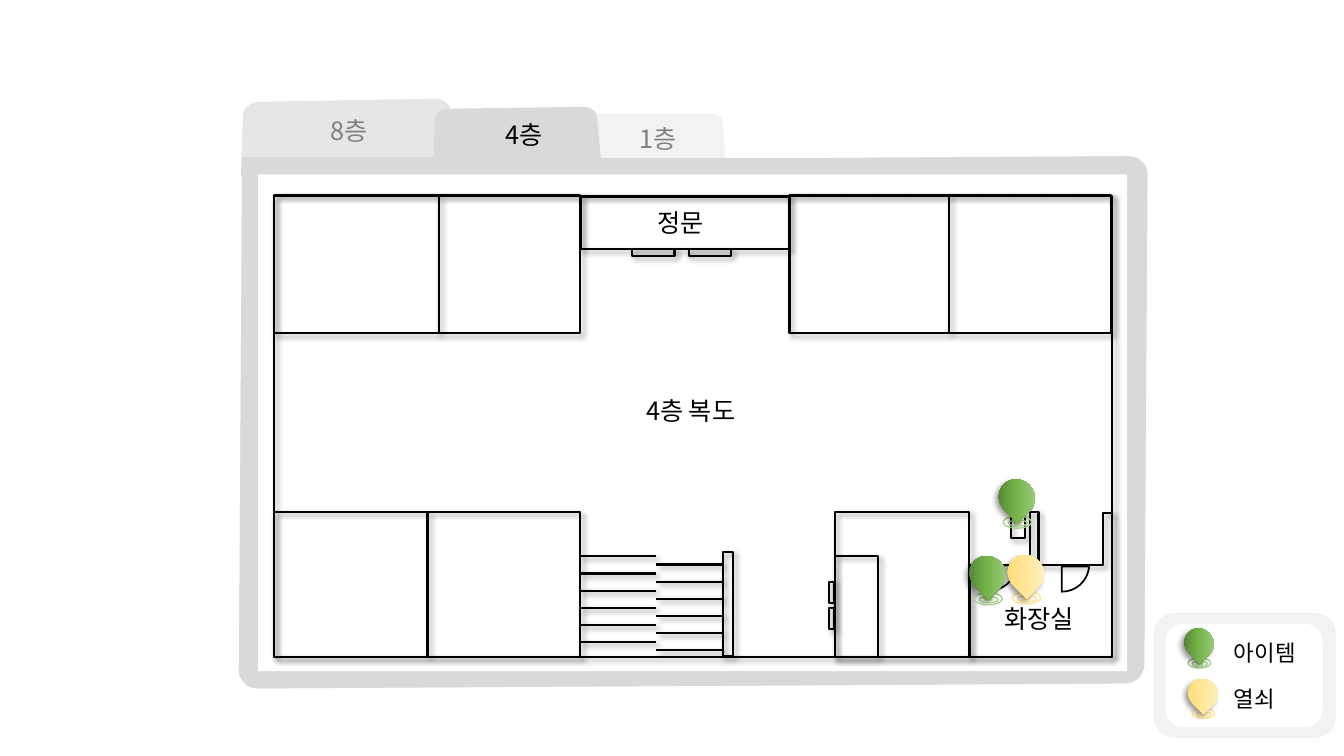
from lxml import etree
from pptx import Presentation
from pptx.dml.color import RGBColor
from pptx.enum import shapes, text
from pptx.oxml import ns
from pptx.util import Inches, Pt

THEME = {
    "font": "Noto Sans CJK KR", "label": 18, "legend": 16, "wall": 1.5, "door": 1.25, "ring": 1,
    "ink": "000000", "muted": "808080", "paper": "FFFFFF", "panel": "F2F2F2",
    "tab_back": "E7E6E6", "tab_front": "D9D9D9",
    "item": ("4B7430", "74B349", "A9D18E"), "item_ring": "A9D18E",
    "key": ("FFD966", "FFE699", "FFF2CC"), "key_ring": "FFE699",
}

# Outlines: a pair is a straight step, six numbers are a Bezier curve
FOLDERS = [
    ("panel", [(5.82, 1.13), (7.04, 1.13), (7.11, 1.12, 7.16, 1.16, 7.17, 1.22), (7.2, 1.63),
               (9.44, 1.65), (9.42, 6), (5.87, 5.97), (5.79, 5.97, 5.73, 5.91, 5.73, 5.82),
               (5.7, 1.77), (5.7, 1.25), (5.7, 1.18, 5.75, 1.13, 5.82, 1.13)]),
    ("tab_back", [(4.29, 0.98), (4.38, 0.97, 4.46, 1.02, 4.47, 1.09), (4.51, 1.59), (11.19, 1.55),
                  (11.3, 1.55, 11.38, 1.63, 11.38, 1.73), (11.35, 6.59),
                  (11.35, 6.69, 11.27, 6.78, 11.16, 6.78), (2.56, 6.83),
                  (2.45, 6.83, 2.37, 6.75, 2.37, 6.65), (2.4, 1.78), (2.39, 1.71), (2.41, 1.15),
                  (2.41, 1.07, 2.48, 1.01, 2.58, 1.01)]),
    ("tab_front", [(5.78, 1.06), (5.85, 1.06, 5.92, 1.1, 5.92, 1.16), (5.96, 1.57), (11.18, 1.57),
                   (11.26, 1.57, 11.33, 1.64, 11.33, 1.72), (11.33, 5.77),
                   (11.33, 5.86, 11.26, 5.92, 11.18, 5.92), (4.45, 5.93),
                   (4.37, 5.93, 4.3, 5.86, 4.3, 5.78), (4.3, 1.72), (4.31, 1.2),
                   (4.31, 1.13, 4.37, 1.08, 4.44, 1.08)]),
    ("tab_front", [(11.19, 1.55), (11.3, 1.55, 11.38, 1.63, 11.38, 1.73), (11.35, 6.59),
                   (11.35, 6.69, 11.27, 6.78, 11.16, 6.78), (2.56, 6.83),
                   (2.45, 6.83, 2.37, 6.75, 2.37, 6.65), (2.4, 1.78), (2.39, 1.71),
                   (2.4, 1.56), (4.51, 1.56), (4.51, 1.59)]),
]
RESTROOM = [(10.22, 5.08), (10.3, 5.08), (10.3, 5.61), (10.94, 5.61), (10.94, 5.09), (11.03, 5.09),
            (11.03, 6.52), (9.62, 6.52), (9.62, 5.61), (10.22, 5.61)]
DOOR_HINGES = [(9.81, 5.61), (10.53, 5.62)]
FLOOR_PAPER = (2.56, 1.73, 8.62, 4.93)
ROOMS = [  # left, top, width, height
    (2.72, 1.94, 8.31, 4.58), (8.28, 5.08, 1.33, 1.44), (2.72, 5.08, 3.03, 1.44),
    (2.72, 1.94, 3.03, 1.36), (7.83, 1.94, 3.19, 1.36), (6.27, 2.47, 0.42, 0.07),
    (6.83, 2.47, 0.42, 0.07), (8.22, 6.03, 0.05, 0.21), (8.22, 5.77, 0.05, 0.21),
    (7.17, 5.48, 0.1, 1.03), (5.76, 1.95, 2.07, 0.52), (8.28, 5.52, 0.43, 1),
    (10.03, 5.09, 0.14, 0.25),
]
PARTITIONS = [(9.41, 1.93, 3.3), (4.35, 1.95, 3.3), (4.24, 5.08, 6.52)]  # x, top, bottom
STAIRS = [(5.75, 6.51, 5.52), (6.51, 7.17, 5.6)]  # left, right, first step
STEP_COUNT, STEP_GAP = 6, 0.17
FLOOR_LABELS = [
    ("정문", 6.42, 2.01, 0.71, "ink"), ("4층 복도", 6.31, 3.87, 1.26, "ink"),
    ("8층", 3.18, 1.09, 0.69, "muted"), ("4층", 4.92, 1.13, 0.69, "ink"),
    ("1층", 6.24, 1.17, 0.69, "muted"), ("화장실", 9.86, 5.94, 0.98, "ink"),
]
FLOOR_PINS = [("key", 10, 5.5), ("item", 9.62, 5.51), ("item", 9.91, 4.75)]
LEGEND_PANELS = [("panel", (11.44, 6.08, 1.81, 1.24)), ("paper", (11.56, 6.19, 1.56, 1.02))]
LEGEND_PINS = [("key", 11.79, 6.73), ("item", 11.75, 6.23)]
LEGEND_LABELS = [("아이템", 12.14, 6.29, 1.01, "ink"), ("열쇠", 12.14, 6.75, 1.01, "ink")]
LEGEND_SCALE = 0.81
PIN_DROP = (0.35, 0.37)
PIN_RINGS = [(0.04, 0.37, 0.28, 0.12), (0.09, 0.41, 0.19, 0.06), (0.15, 0.42, 0.07, 0.03)]

prs = Presentation()
prs.slide_width, prs.slide_height = Inches(13.33), Inches(7.5)
slide = prs.slides.add_slide(prs.slide_layouts[6])
floor = slide.shapes.add_group_shape().shapes
legend = slide.shapes.add_group_shape().shapes


def color(name):
    return RGBColor.from_string(THEME.get(name, name))


def add_xml(parent, tag, **attributes):
    return etree.SubElement(parent, ns.qn(tag), {k: str(v) for k, v in attributes.items()})


def cast_shadow(part, angle=45):
    props = part._element.spPr
    effects = props.find(ns.qn("a:effectLst"))
    if effects is None:
        effects = add_xml(props, "a:effectLst")
    outer = add_xml(effects, "a:outerShdw", blurRad=Pt(4), dist=Pt(3), dir=angle * 60000,
                    algn="tl", rotWithShape=0)
    add_xml(add_xml(outer, "a:srgbClr", val=THEME["ink"]), "a:alpha", val=40000)


def paint(part, fill=None, line=None, width=1.5):
    part.shadow.inherit = False
    if fill:
        part.fill.solid()
        part.fill.fore_color.rgb = color(fill)
    else:
        part.fill.background()
    if line:
        part.line.color.rgb = color(line)
        part.line.width = Pt(width)
    else:
        part.line.fill.background()
    return part


def add_preset(group, kind, box):
    return group.add_shape(kind, *(Inches(v) for v in box))


def add_outline(group, steps):
    points = [steps[0]]
    for step in steps[1:]:
        if len(step) == 2:
            points.append(step)
            continue
        p0, p1, p2, p3 = points[-1], step[:2], step[2:4], step[4:]
        for t in (i / 8 for i in range(1, 9)):
            weights = ((1 - t) ** 3, 3 * t * (1 - t) ** 2, 3 * t * t * (1 - t), t ** 3)
            points.append(tuple(sum(w * p[axis] for w, p in zip(weights, (p0, p1, p2, p3)))
                                for axis in (0, 1)))
    emu = [(Inches(x), Inches(y)) for x, y in points]
    builder = group.build_freeform(*emu[0])
    builder.add_line_segments(emu[1:], close=True)
    return builder.convert_to_shape()


def add_wall(x1, y1, x2, y2):
    wall = floor.add_connector(shapes.MSO_CONNECTOR.STRAIGHT, *(Inches(v) for v in (x1, y1, x2, y2)))
    wall.line.color.rgb = color("ink")
    wall.line.width = Pt(THEME["wall"])
    cast_shadow(wall)


def add_label(group, words, left, top, width, ink, size, height):
    frame = group.add_textbox(*(Inches(v) for v in (left, top, width, height))).text_frame
    frame.word_wrap = True
    frame.auto_size = text.MSO_AUTO_SIZE.SHAPE_TO_FIT_TEXT
    frame.text = words
    run = frame.paragraphs[0].runs[0]
    run.font.size = Pt(size)
    run.font.color.rgb = color(ink)
    run.font.name = THEME["font"]
    add_xml(run._r.get_or_add_rPr(), "a:ea", typeface=THEME["font"])


def add_pin(group, kind, left, top, scale=1):
    ring_color = kind + "_ring"
    for i, (dx, dy, w, h) in enumerate(PIN_RINGS):
        box = (left + dx * scale, top + dy * scale, w * scale, h * scale)
        paint(add_preset(group, shapes.MSO_SHAPE.OVAL, box),
              ring_color if i == 2 else None, ring_color, THEME["ring"])
    drop = add_preset(group, shapes.MSO_SHAPE.TEAR, (left, top, *(v * scale for v in PIN_DROP)))
    paint(drop).rotation = 135
    drop.fill.gradient()
    drop.fill.gradient_angle = 135  # counter-clockwise
    stops = drop._element.spPr.find(ns.qn("a:gradFill")).find(ns.qn("a:gsLst"))
    for stop in list(stops):
        stops.remove(stop)
    for position, tone in zip((0, 48, 100), THEME[kind]):
        add_xml(add_xml(stops, "a:gs", pos=position * 1000), "a:srgbClr", val=tone)
    cast_shadow(drop, 135)


# Folder tabs and paper
for fill, outline in FOLDERS:
    paint(add_outline(floor, outline), fill)
paint(add_preset(floor, shapes.MSO_SHAPE.RECTANGLE, FLOOR_PAPER), "paper")

# Rooms, stairs and partitions
for room in ROOMS:
    cast_shadow(paint(add_preset(floor, shapes.MSO_SHAPE.RECTANGLE, room), None, "ink", THEME["wall"]))
for left, right, first in STAIRS:
    for i in range(STEP_COUNT):
        y = first + i * STEP_GAP
        add_wall(left, y, right, y)
for x, top, bottom in PARTITIONS:
    add_wall(x, top, x, bottom)

# Restroom with swinging doors
cast_shadow(paint(add_outline(floor, RESTROOM), None, "ink", THEME["wall"]))
for x, y in DOOR_HINGES:
    swing = [(x, y + 0.25), (x, y), (x + 0.27, y), (x + 0.27, y + 0.02),
             (x + 0.25, y + 0.15, x + 0.14, y + 0.25, x, y + 0.25)]
    paint(add_outline(floor, swing), None, "ink", THEME["door"])

# Floor labels and pins
for label in FLOOR_LABELS:
    add_label(floor, *label, THEME["label"], 0.4)
for pin in FLOOR_PINS:
    add_pin(floor, *pin)

# Legend
for fill, box in LEGEND_PANELS:
    paint(add_preset(legend, shapes.MSO_SHAPE.ROUNDED_RECTANGLE, box), fill)
for pin in LEGEND_PINS:
    add_pin(legend, *pin, LEGEND_SCALE)
for label in LEGEND_LABELS:
    add_label(legend, *label, THEME["legend"], 0.37)

prs.save("out.pptx")
